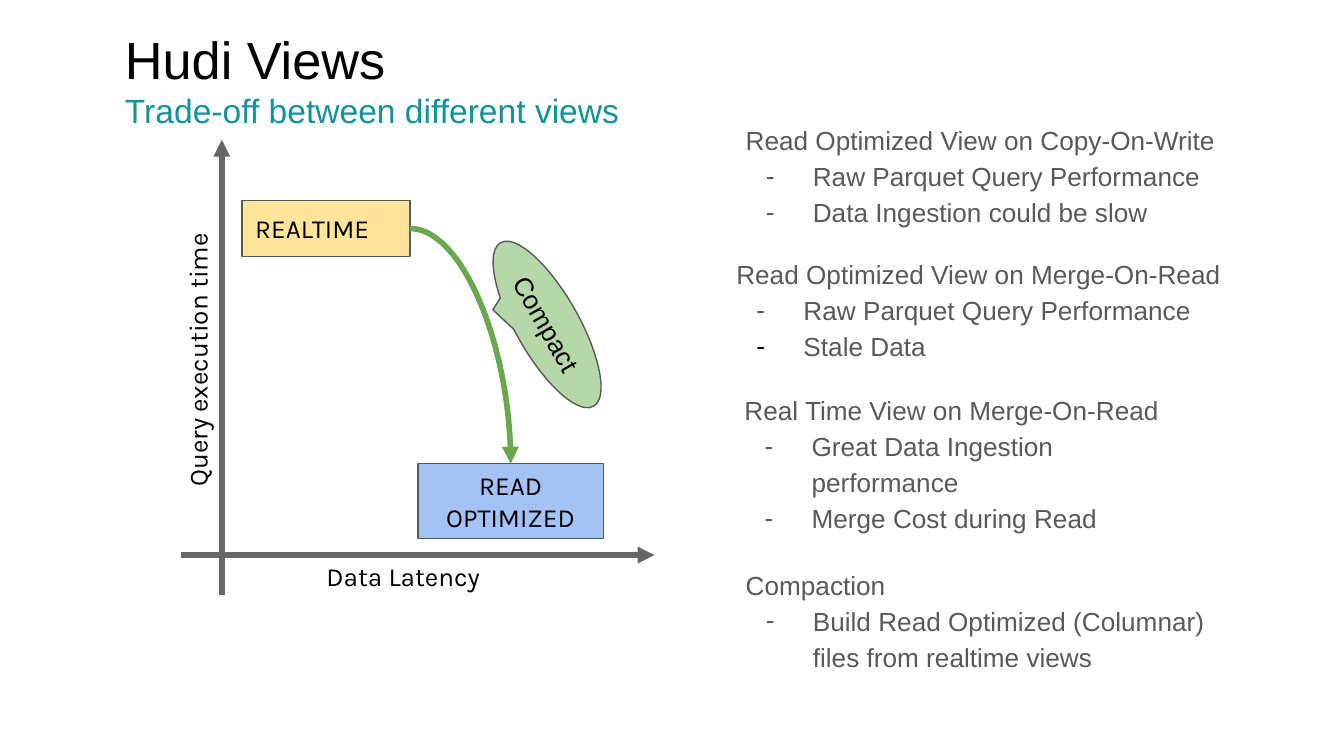
from pptx import Presentation
from pptx.dml.color import RGBColor
from pptx.enum.shapes import MSO_CONNECTOR, MSO_SHAPE
from pptx.enum.text import MSO_ANCHOR, MSO_AUTO_SIZE, PP_ALIGN
from pptx.oxml.ns import qn
from pptx.util import Inches, Pt
from lxml import etree

STRAIGHT, CURVE = MSO_CONNECTOR.STRAIGHT, MSO_CONNECTOR.CURVE
RECTANGLE, CALLOUT = MSO_SHAPE.RECTANGLE, MSO_SHAPE.OVAL_CALLOUT
TOP, MIDDLE = MSO_ANCHOR.TOP, MSO_ANCHOR.MIDDLE
LEFT, CENTER = PP_ALIGN.LEFT, PP_ALIGN.CENTER
NO_AUTOFIT = MSO_AUTO_SIZE.NONE
BLACK, GRAY, AXIS_GRAY, GREEN = "000000", "595959", "666666", "6AA84F"


def color(value):
    return RGBColor.from_string(value)


def write(shape, lines, font_name, anchor=TOP, alignment=LEFT):
    frame = shape.text_frame
    frame.word_wrap = True
    frame.auto_size = NO_AUTOFIT
    frame.vertical_anchor = anchor
    frame.margin_left = frame.margin_right = Inches(0.1)
    frame.margin_top = frame.margin_bottom = Inches(0.1)
    for index, (text, size, text_color) in enumerate(lines):
        paragraph = frame.add_paragraph() if index else frame.paragraphs[0]
        paragraph.alignment = alignment
        run = paragraph.add_run()
        run.text = text
        run.font.name = font_name
        run.font.size = Pt(size)
        run.font.color.rgb = color(text_color)
    return frame.paragraphs


presentation = Presentation()
presentation.slide_width = Inches(10)
presentation.slide_height = Inches(10) * 9 // 16
slide = presentation.slides.add_slide(presentation.slide_layouts[5])
shapes = slide.shapes

title = shapes.title
title.left, title.top = Inches(0.83), Inches(0.1)
title.width, title.height = Inches(8.02), Inches(0.56)
write(title, [("Hudi Views", 28, BLACK),
              ("Trade-off between different views", 18, "12939A")], "Arial")

vertical_axis = shapes.add_connector(
    STRAIGHT, Inches(1.65), Inches(4.43), Inches(1.65), Inches(1.04))
horizontal_axis = shapes.add_connector(
    STRAIGHT, Inches(1.35), Inches(4.13), Inches(4.87), Inches(4.13))

axis_labels = [
    ("Query execution time", 0.38, 2.43, 2.16, 270),
    ("Data Latency", 2.33, 4.07, 1.45, 0),
]
for text, left, top, width, rotation in axis_labels:
    label = shapes.add_textbox(Inches(left), Inches(top), Inches(width), Inches(0.42))
    label.rotation = rotation
    write(label, [(text, 14, BLACK)], "Karla")

diagram_shapes = [
    (RECTANGLE, ["READ", "OPTIMIZED"], 3.11, 3.45, 1.38, 0.56, 0, "A4C2F4", "Karla", CENTER),
    (RECTANGLE, ["REALTIME"], 1.8, 1.49, 1.25, 0.42, 0, "FFE599", "Karla", LEFT),
    (CALLOUT, ["Compact"], 3.37, 2.18, 1.4, 0.47, 60.4, "B6D7A8", "Arial", LEFT),
]
drawn = []
for kind, texts, left, top, width, height, rotation, fill, font_name, alignment in diagram_shapes:
    shape = shapes.add_shape(kind, Inches(left), Inches(top), Inches(width), Inches(height))
    shape.rotation = rotation
    shape.shadow.inherit = False
    shape.fill.solid()
    shape.fill.fore_color.rgb = color(fill)
    shape.line.color.rgb = color(GRAY)
    shape.line.width = Pt(0.75)
    write(shape, [(text, 14, BLACK) for text in texts], font_name, MIDDLE, alignment)
    drawn.append(shape)
read_optimized, realtime, compact = drawn
compact.adjustments[0] = -0.21
compact.adjustments[1] = 0.63

compaction_arrow = shapes.add_connector(
    CURVE, Inches(3.05), Inches(1.7), Inches(3.8), Inches(3.45))
compaction_arrow._element.spPr.find(qn("a:prstGeom")).set("prst", "curvedConnector2")
compaction_arrow.begin_connect(realtime, 3)
compaction_arrow.end_connect(read_optimized, 0)

for connector, line_color in [(vertical_axis, AXIS_GRAY), (horizontal_axis, AXIS_GRAY),
                              (compaction_arrow, GREEN)]:
    connector.line.color.rgb = color(line_color)
    connector.line.width = Pt(3)
    properties = connector._element.spPr
    etree.SubElement(properties.find(qn("a:ln")), qn("a:tailEnd"), type="triangle")
    etree.SubElement(properties, qn("a:effectLst"))

views = [
    (5.45, 0.79, 3.73, 1, "Read Optimized View on Copy-On-Write",
     [("Raw Parquet Query Performance", GRAY), ("Data Ingestion could be slow", GRAY)]),
    (5.38, 1.79, 4.02, 1, "Read Optimized View on Merge-On-Read",
     [("Raw Parquet Query Performance", GRAY), ("Stale Data", BLACK)]),
    (5.44, 2.8, 3.61, 1.17, "Real Time View on Merge-On-Read",
     [("Great Data Ingestion performance", GRAY), ("Merge Cost during Read", GRAY)]),
    (5.45, 4.1, 3.73, 1, "Compaction",
     [("Build Read Optimized (Columnar) files from realtime views", GRAY)]),
]
for left, top, width, height, heading, points in views:
    box = shapes.add_textbox(Inches(left), Inches(top), Inches(width), Inches(height))
    texts = [heading] + [text for text, bullet_color in points]
    paragraphs = write(box, [(text, 14, GRAY) for text in texts], "Arial")
    for paragraph in paragraphs:
        paragraph.line_spacing = 1.15
    for paragraph, (text, bullet_color) in zip(paragraphs[1:], points):
        properties = paragraph._p.get_or_add_pPr()
        properties.set("marL", str(Inches(0.5)))
        properties.set("indent", str(Inches(-0.35)))
        bullet_fill = etree.SubElement(properties, qn("a:buClr"))
        etree.SubElement(bullet_fill, qn("a:srgbClr"), val=bullet_color)
        etree.SubElement(properties, qn("a:buFont"), typeface="Arial")
        etree.SubElement(properties, qn("a:buChar"), char="-")

presentation.save("out.pptx")
